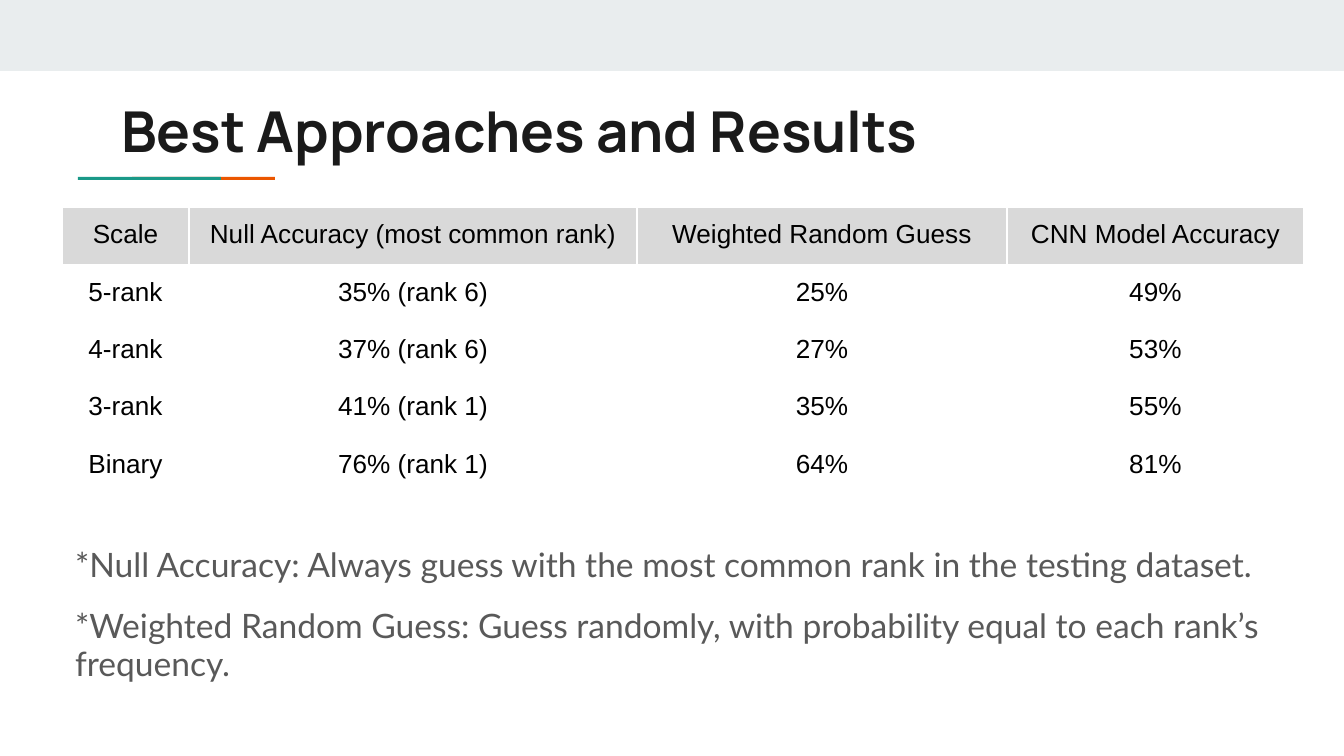
from pptx import Presentation, util as u
from pptx.dml.color import RGBColor
from pptx.enum import shapes, text
from pptx.oxml.ns import qn
from lxml import etree

SCALE = 914400 / 134.4
INSET = 13
COLORS = {
    "band": "E9EDEE", "orange": "EB5600", "teal": "1A9988", "title": "1A1A1A",
    "body": "595959", "header": "D9D9D9", "cell": "000000", "border": "FFFFFF",
}
TITLE_FONT = {"name": "Manrope", "size": u.Pt(30.2), "bold": True}
CELL_FONT = {"name": "Arial", "size": u.Pt(14), "bold": False}
NOTE_FONT = {"name": "Lato", "size": u.Pt(18), "bold": False}
COLUMN_WIDTHS = [127, 448, 370, 297]
RESULTS = [
    ["Scale", "Null Accuracy (most common rank)", "Weighted Random Guess", "CNN Model Accuracy"],
    ["5-rank", "35% (rank 6)", "25%", "49%"],
    ["4-rank", "37% (rank 6)", "27%", "53%"],
    ["3-rank", "41% (rank 1)", "35%", "55%"],
    ["Binary", "76% (rank 1)", "64%", "81%"],
]
NOTES = [
    "*Null Accuracy: Always guess with the most common rank in the testing dataset.",
    "*Weighted Random Guess: Guess randomly, with probability equal to each rank’s frequency.",
]


def px(length):
    """Turn pixels into EMU."""
    return u.Emu(round(length * SCALE))


def color(name):
    """Look up a named colour."""
    return RGBColor.from_string(COLORS[name])


def apply(target, values):
    """Set each attribute of the target from a dict."""
    for key, value in values.items():
        setattr(target, key, value)


def margins(*sides):
    """Give the inset for the named sides."""
    return {f"margin_{side}": px(INSET) for side in sides or ("left", "top", "right", "bottom")}


def write(paragraph, words, font, color_name):
    """Fill a paragraph with one formatted run."""
    run = paragraph.add_run()
    run.text = words
    apply(run.font, font)
    run.font.color.rgb = color(color_name)


def add_bar(slide, box, color_name):
    """Draw a plain filled rectangle."""
    bar = slide.shapes.add_shape(shapes.MSO_SHAPE.RECTANGLE, *map(px, box))
    bar.shadow.inherit = False
    bar.fill.solid()
    bar.fill.fore_color.rgb = color(color_name)
    bar.line.fill.background()


def add_accent(slide, box):
    """Draw the two-colour rule, its teal part overlapping the orange one."""
    left, top, width, height = box
    length = 143
    add_bar(slide, (left + width - length, top, length, height), "orange")
    add_bar(slide, (left, top, length, height), "teal")


def add_title(slide, box, words):
    """Move and format the title placeholder."""
    title = slide.shapes.title
    apply(title, dict(zip(("left", "top", "width", "height"), map(px, box))))
    frame = title.text_frame
    apply(frame, {**margins(), "word_wrap": True, "auto_size": text.MSO_AUTO_SIZE.NONE,
                  "vertical_anchor": text.MSO_ANCHOR.TOP})
    frame.paragraphs[0].alignment = text.PP_ALIGN.LEFT
    write(frame.paragraphs[0], words, TITLE_FONT, "title")


def add_borders(cell, dashes):
    """Outline a cell with a dash style for each side."""
    properties = cell._tc.get_or_add_tcPr()
    for side, dash in dashes.items():
        line = etree.SubElement(properties, qn(f"a:ln{side}"), w=str(u.Pt(0.75)))
        fill = etree.SubElement(line, qn("a:solidFill"))
        etree.SubElement(fill, qn("a:srgbClr"), val=COLORS["border"])
        etree.SubElement(line, qn("a:prstDash"), val=dash)


def add_results(slide, box):
    """Build the accuracy table."""
    frame = slide.shapes.add_table(len(RESULTS), len(COLUMN_WIDTHS), *map(px, box))
    table = frame.table
    apply(table, {"first_row": False, "horz_banding": False})
    for column, width in zip(table.columns, COLUMN_WIDTHS):
        column.width = px(width)
    for row_index, row in enumerate(RESULTS):
        table.rows[row_index].height = px(box[3] / len(RESULTS))
        is_header = row_index == 0
        dashes = dict.fromkeys("LRTB", "solid" if is_header else "dash")
        if row_index == 1:
            dashes["T"] = "solid"
        for column_index, words in enumerate(row):
            cell = table.cell(row_index, column_index)
            apply(cell, margins())
            add_borders(cell, dashes)
            if is_header:
                cell.fill.solid()
                cell.fill.fore_color.rgb = color("header")
            else:
                cell.fill.background()
            paragraph = cell.text_frame.paragraphs[0]
            paragraph.alignment = text.PP_ALIGN.CENTER
            write(paragraph, words, CELL_FONT, "cell")


def add_notes(slide, box):
    """Write the definitions under the table."""
    frame = slide.shapes.add_textbox(*map(px, box)).text_frame
    apply(frame, {**margins(), "word_wrap": True})
    for index, words in enumerate(NOTES):
        paragraph = frame.add_paragraph() if index else frame.paragraphs[0]
        apply(paragraph, {"line_spacing": 0.95, "space_before": u.Pt(12 if index else 0)})
        write(paragraph, words, NOTE_FONT, "body")


def main():
    """Build and save the results slide."""
    deck = Presentation()
    apply(deck, {"slide_width": px(1344), "slide_height": px(756)})
    slide = deck.slides.add_slide(deck.slide_layouts[5])
    add_bar(slide, (0, 0, 1344, 71), "band")
    add_accent(slide, (78, 177, 197, 3))
    add_title(slide, (108, 83, 1130, 79), "Best Approaches and Results")
    add_notes(slide, (62, 534, 1249, 173))
    add_results(slide, (62, 207, 1242, 280))
    deck.save("out.pptx")


if __name__ == "__main__":
    main()
